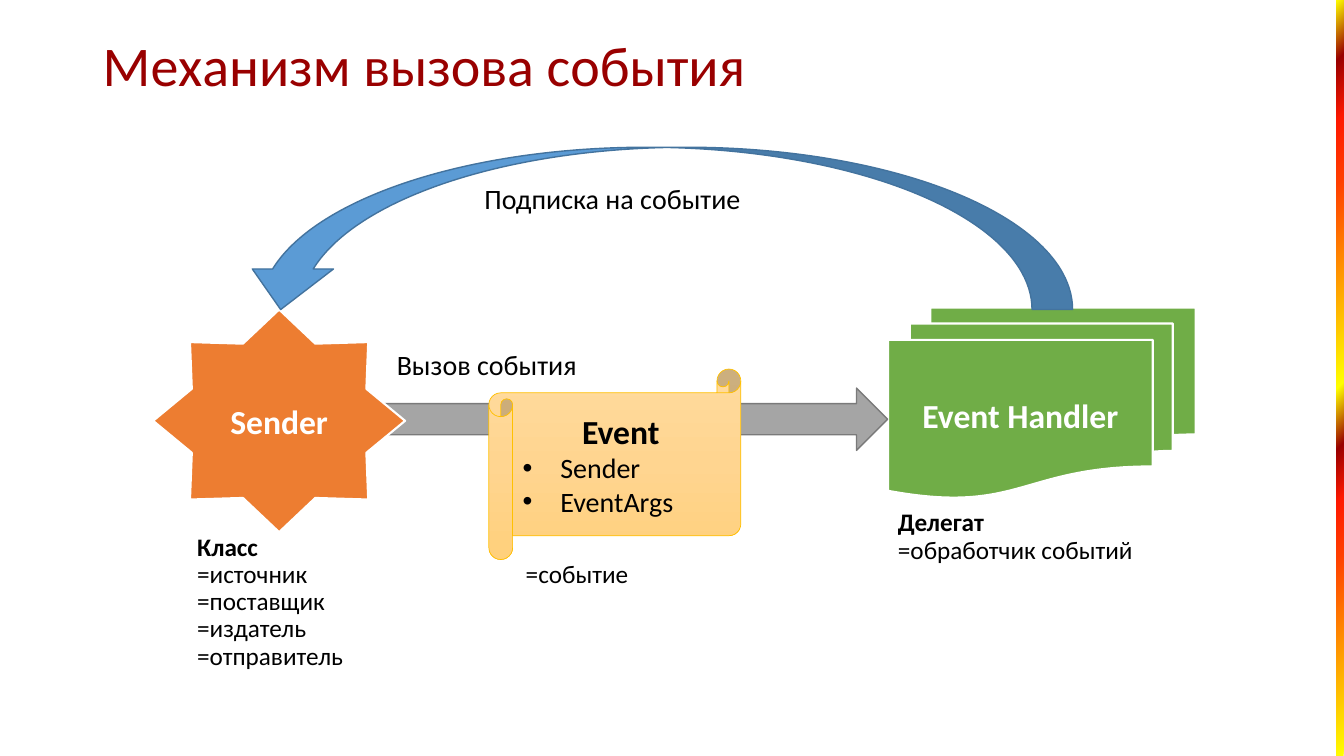
from lxml.etree import SubElement as Sub
from pptx import Presentation
from pptx.dml.color import RGBColor as RGB
from pptx.enum.shapes import MSO_SHAPE as Kind
from pptx.enum.text import MSO_ANCHOR as Anchor, MSO_AUTO_SIZE as Fit, PP_ALIGN as Align
from pptx.oxml.ns import qn
from pptx.util import Cm, Pt

HUES = {
    "white": "FFFFFF", "black": "000000", "title": "990000",
    "green": "70AD47", "gray": "A5A5A5", "edge": "7A7A7A",
    "orange": "ED7D31", "blue": "5B9BD5", "navy": "43739E", "gold": "FFC000",
    "sand": "FFDB9E", "wheat": "FFD590", "honey": "FFD07C",
    "yellow": "FFFF00", "flame": "FF3D00", "red": "FF1900", "wine": "990000",
}
FIRE = (225, [(0, "yellow"), (27, "flame"), (34, "red"), (41, "wine"),
              (49, "yellow"), (76, "flame"), (84, "red"), (92, "wine"),
              (100, "yellow")])
PAPER = (90, [(0, "sand"), (50, "wheat"), (100, "honey")])

SHAPES = [
    (Kind.RECTANGLE, (33.68, 0, 0.18, 19.05), FIRE, None, 0),
    (Kind.FLOWCHART_MULTIDOCUMENT, (22.38, 7.75, 7.75, 4.8), "green", ("white", 1.5), 0,
     [("Event Handler", 24, True)], "white"),
    (Kind.RIGHT_ARROW, (8.48, 9.78, 13.89, 1.57), "gray", ("edge", 1), 0),
    (Kind.HORIZONTAL_SCROLL, (12.32, 9.3, 6.35, 4.8), PAPER, ("gold", 0.5), 0,
     [("Event", 24, True), ("Sender", 20, False), ("EventArgs", 20, False)], "black"),
    (Kind.STAR_8_POINT, (3.86, 7.8, 6.35, 5.61), "orange", ("white", 1.5), 0,
     [("Sender", 24, True)], "white"),
    (Kind.CURVED_UP_ARROW, (6.05, 3.71, 20.98, 4.09), "blue", ("navy", 1), 180),
]
TITLE = ((2.34, 0.38, 29.21, 2.69), [("Механизм вызова события", 40, False)])
NOTES = [
    ((4.72, 13.34, 4.6, 3.71),
     [("Класс", 18, True), ("=источник", 18, False), ("=поставщик", 18, False),
      ("=издатель", 18, False), ("=отправитель", 18, False)], 0.9),
    ((13, 14.02, 4.6, 0.94), [("=событие", 18, False)], 0.9),
    ((22.38, 12.73, 6.73, 1.65),
     [("Делегат", 18, True), ("=обработчик событий", 18, False)], 0.9),
    ((11.96, 4.55, 7.98, 1.02), [("Подписка на событие", 20, False)], 0.9),
    ((9.75, 8.64, 5.56, 1.12), [("Вызов события", 20, False)], 1),
]


def hue(name):
    return RGB.from_string(HUES[name])


def paint(shape, fill):
    if isinstance(fill, str):
        shape.fill.solid()
        shape.fill.fore_color.rgb = hue(fill)
        return
    angle, stops = fill
    shape.fill.gradient()
    grad = shape._element.spPr.find(qn("a:gradFill"))
    for child in list(grad):
        grad.remove(child)
    group = Sub(grad, qn("a:gsLst"))
    for pos, name in stops:
        stop = Sub(group, qn("a:gs"), pos=str(pos * 1000))
        Sub(stop, qn("a:srgbClr"), val=HUES[name])
    Sub(grad, qn("a:lin"), ang=str(angle * 60000), scaled="0")


def write(shape, lines, color, align, gap=None, anchor=Anchor.TOP):
    frame = shape.text_frame
    frame.word_wrap = True
    frame.vertical_anchor = anchor
    for i, (text, size, bold) in enumerate(lines):
        para = frame.paragraphs[0] if i == 0 else frame.add_paragraph()
        para.text = text
        para.alignment = align
        if gap:
            para.line_spacing = gap
        font = para.font
        font.name, font.size, font.bold = "Calibri", Pt(size), bold
        font.color.rgb = hue(color)
    return frame


def bullet(para):
    para.alignment = Align.LEFT
    props = para._p.get_or_add_pPr()
    props.set("marL", str(Cm(0.95)))
    props.set("indent", str(-Cm(0.95)))
    mark = Sub(props, qn("a:buChar"), char="•")
    props.insert(0, mark)
    face = Sub(props, qn("a:buFont"), typeface="Arial")
    props.insert(0, face)


def draw(slide, kind, box, fill, line, turn, lines=(), color="black"):
    shape = slide.shapes.add_shape(kind, *map(Cm, box))
    shape.shadow.inherit = False
    shape.rotation = turn
    paint(shape, fill)
    if line:
        shape.line.color.rgb = hue(line[0])
        shape.line.width = Pt(line[1])
    else:
        shape.line.fill.background()
    if lines:
        frame = write(shape, lines, color, Align.CENTER, anchor=Anchor.MIDDLE)
        for para in frame.paragraphs[1:]:
            bullet(para)


def main():
    deck = Presentation()
    deck.slide_width, deck.slide_height = Cm(33.87), Cm(19.05)
    slide = deck.slides.add_slide(deck.slide_layouts[6])
    for item in SHAPES:
        draw(slide, *item)
    box, lines = TITLE
    head = slide.shapes.add_textbox(*map(Cm, box))
    write(head, lines, "title", Align.LEFT, 0.9, Anchor.MIDDLE)
    for box, lines, gap in NOTES:
        note = slide.shapes.add_textbox(*map(Cm, box))
        align = Align.LEFT if gap == 1 else Align.JUSTIFY
        write(note, lines, "black", align, gap).auto_size = Fit.SHAPE_TO_FIT_TEXT
    deck.save("out.pptx")


if __name__ == "__main__":
    main()
